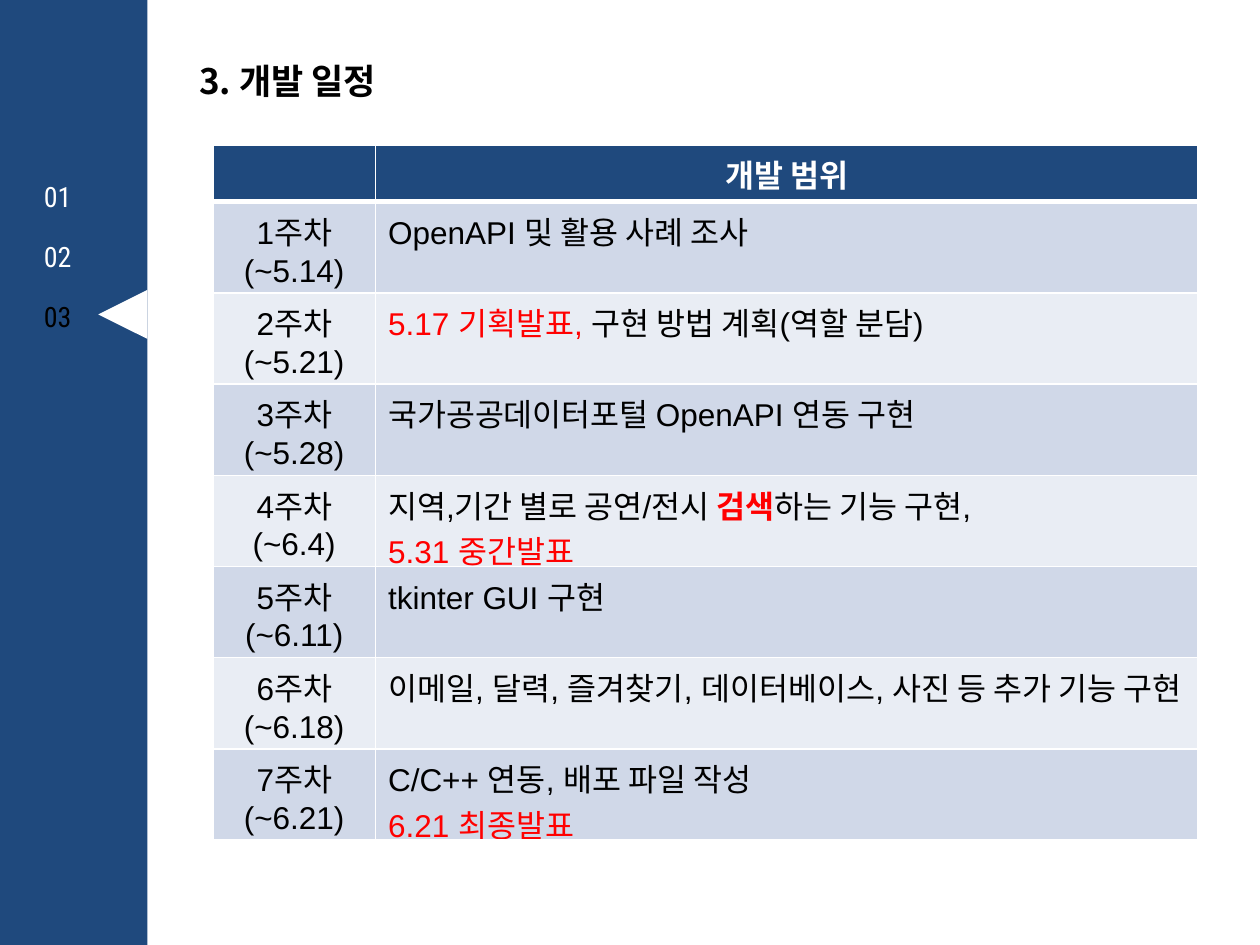
import pptx
import pptx.dml.color
import pptx.enum.shapes
import pptx.enum.text
import pptx.oxml
import pptx.oxml.ns
import pptx.util
from pptx.util import Inches

NAVY, WHITE, BLACK, RED = "1F497D", "FFFFFF", "000000", "FF0000"
BANDS = ["D0D8E8", "E9EDF4"]
CENTER = pptx.enum.text.PP_ALIGN.CENTER

# Each week: label, deadline, and lines of (text, format) runs
SCHEDULE = [
    ("1주차", "(~5.14)", [[("OpenAPI 및 활용 사례 조사", {})]]),
    ("2주차", "(~5.21)", [[("5.17 기획발표, ", {"color": RED}),
                          ("구현 방법 계획(역할 분담)", {})]]),
    ("3주차", "(~5.28)", [[("국가공공데이터포털 OpenAPI 연동 구현", {})]]),
    ("4주차", "(~6.4)", [[("지역,기간 별로 공연/전시 ", {}),
                         ("검색", {"color": RED, "bold": True}),
                         ("하는 기능 구현,", {})],
                        [("5.31 중간발표", {"color": RED})]]),
    ("5주차", "(~6.11)", [[("tkinter GUI 구현", {})]]),
    ("6주차", "(~6.18)", [[("이메일, 달력, 즐겨찾기, 데이터베이스, 사진 등 추가 기능 구현", {})]]),
    ("7주차", "(~6.21)", [[("C/C++ 연동, 배포 파일 작성", {})],
                         [("6.21 최종발표", {"color": RED})]]),
]


def rgb(value):
    return pptx.dml.color.RGBColor.from_string(value)


def add_text(paragraph, text, size=18, font="Arial", color=BLACK, bold=False, align=None):
    """Append a formatted run to the paragraph."""
    run = paragraph.add_run()
    run.text = text
    run.font.size = pptx.util.Pt(size)
    run.font.name = font
    run.font.bold = bold
    run.font.color.rgb = rgb(color)
    if align is not None:
        paragraph.alignment = align


def add_solid(slide, kind, left, top, width, height, color):
    solid = slide.shapes.add_shape(kind, left, top, width, height)
    solid.shadow.inherit = False
    solid.fill.solid()
    solid.fill.fore_color.rgb = rgb(color)
    solid.line.fill.background()
    return solid


def add_sidebar(slide, left, top, width, height, current=2):
    """Navigation band with section numbers and a pointer at the current one."""
    kinds = pptx.enum.shapes.MSO_SHAPE
    add_solid(slide, kinds.RECTANGLE, left, top, width, height, NAVY)
    first, step, number_height = top + Inches(1.38), Inches(0.475), Inches(0.37)
    side = Inches(0.39)
    pointer = add_solid(slide, kinds.ISOSCELES_TRIANGLE, left + width - side,
                        first + current * step - Inches(0.03), side, side, WHITE)
    pointer.rotation = 270
    for index in range(3):
        number = slide.shapes.add_textbox(left + Inches(0.25), first + index * step,
                                          Inches(0.59), number_height)
        number.text_frame.word_wrap = True
        add_text(number.text_frame.paragraphs[0], f"{index + 1:02}", size=16,
                 font="Roboto Condensed", color=BLACK if index == current else WHITE)


def add_title(slide, text, left, top, width, height):
    title = slide.shapes.title
    title.left, title.top, title.width, title.height = left, top, width, height
    frame = title.text_frame
    frame.word_wrap = True
    frame.auto_size = pptx.enum.text.MSO_AUTO_SIZE.NONE
    frame.vertical_anchor = pptx.enum.text.MSO_ANCHOR.TOP
    add_text(frame.paragraphs[0], text, size=20, font="Noto Sans CJK KR", bold=True,
             align=pptx.enum.text.PP_ALIGN.LEFT)


def style_cell(cell, fill, top=1, bottom=1):
    """Fill the cell and draw white borders, with widths in points."""
    properties = cell._tc.get_or_add_tcPr()
    for edge, points in (("L", 1), ("R", 1), ("T", top), ("B", bottom)):
        properties.append(pptx.oxml.parse_xml(
            f'<a:ln{edge} {pptx.oxml.ns.nsdecls("a")} w="{pptx.util.Pt(points)}">'
            f'<a:solidFill><a:srgbClr val="{WHITE}"/></a:solidFill></a:ln{edge}>'))
    cell.fill.solid()
    cell.fill.fore_color.rgb = rgb(fill)


def write_lines(cell, lines, align=None):
    frame = cell.text_frame
    for index, runs in enumerate(lines):
        paragraph = frame.add_paragraph() if index else frame.paragraphs[0]
        for text, style in runs:
            add_text(paragraph, text, align=align, **style)


def add_schedule(slide, left, top, width, height):
    table = slide.shapes.add_table(len(SCHEDULE) + 1, 2, left, top, width, height).table
    week_width, header_height = Inches(1.29), Inches(0.45)
    table.columns[0].width = week_width
    table.columns[1].width = width - week_width
    for row in table.rows:
        row.height = (height - header_height) // len(SCHEDULE)
    table.rows[0].height = header_height

    for cell in table.rows[0].cells:
        style_cell(cell, NAVY, bottom=3)
    write_lines(table.cell(0, 1), [[("개발 범위", {"color": WHITE, "bold": True})]], CENTER)
    for index, (week, deadline, scope) in enumerate(SCHEDULE):
        week_cell, scope_cell = table.rows[index + 1].cells
        for cell in (week_cell, scope_cell):
            style_cell(cell, BANDS[index % 2], top=1 if index else 3)
        write_lines(week_cell, [[(week, {})], [(deadline, {})]], CENTER)
        write_lines(scope_cell, scope)


def main():
    deck = pptx.Presentation()
    deck.slide_width, deck.slide_height = Inches(10), Inches(7.5)
    slide = deck.slides.add_slide(deck.slide_layouts[5])
    add_sidebar(slide, 0, 0, Inches(1.17), deck.slide_height)
    add_title(slide, "3. 개발 일정", Inches(1.48), Inches(0.42), Inches(2.58), Inches(0.44))
    add_schedule(slide, Inches(1.69), Inches(1.15), Inches(7.82), Inches(5.52))
    deck.save("out.pptx")


if __name__ == "__main__":
    main()
